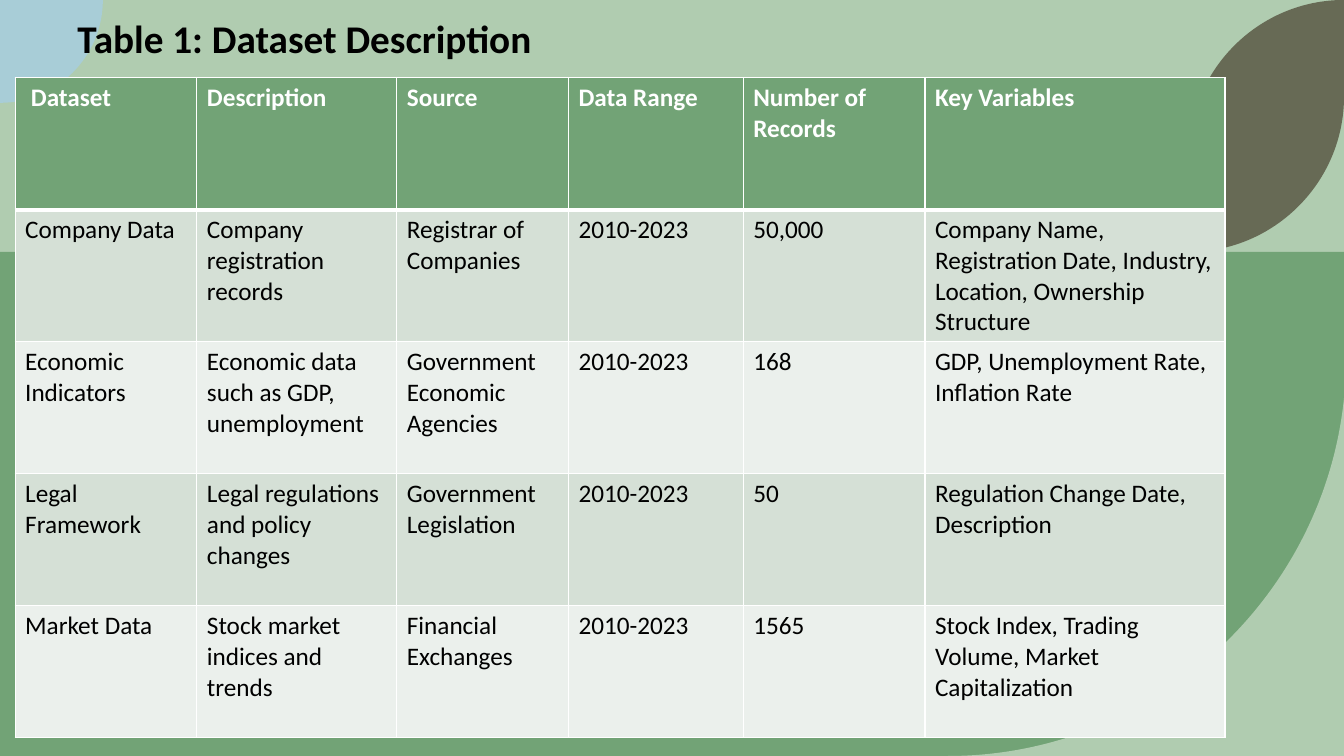
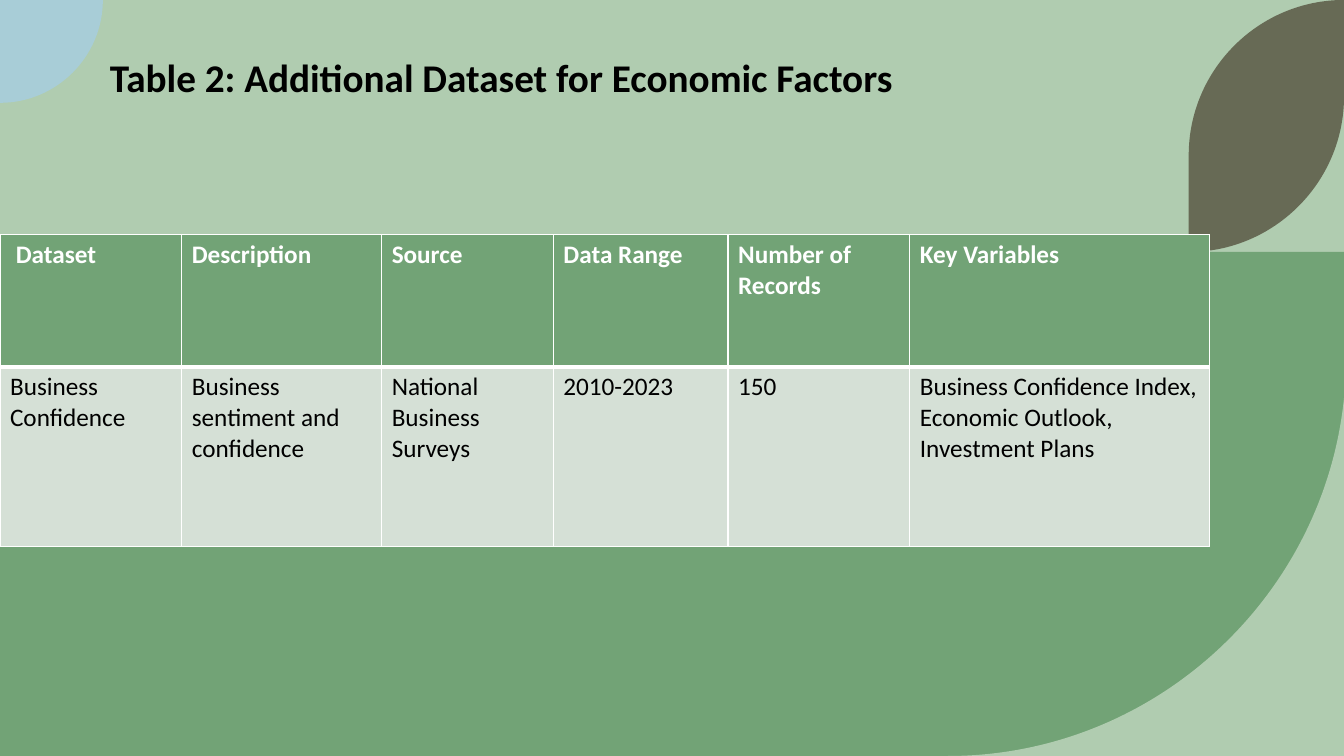
from dataclasses import dataclass

from lxml.etree import Element, SubElement
from pptx import Presentation
from pptx.dml.color import RGBColor
from pptx.enum.shapes import MSO_SHAPE as Shape
from pptx.enum.text import PP_ALIGN as Align
from pptx.oxml.ns import qn
from pptx.util import Inches, Pt

WIDTH, HEIGHT = 13.33, 7.5
EDGE = 13.35
HORIZON = HEIGHT / 3
ROUND = 0.55


@dataclass(frozen=True)
class Theme:
    font: str = "Calibri"
    sage: str = "B0CCB0"
    green: str = "72A376"
    blue: str = "A8CDD7"
    brown: str = "676A55"
    white: str = "FFFFFF"
    black: str = "000000"
    bands: tuple = ("D5E0D6", "EBF0EC")
    title_size: int = 28
    table_size: int = 18
    thin: int = 1
    thick: int = 3


THEME = Theme()
TABLE_WIDTH = 12
COLUMN_SHARES = (1.8, 1.98, 1.7, 1.73, 1.8, 2.97)
HEADINGS = (" Dataset", "Description", "Source", "Data Range",
            "Number of Records", "Key Variables")
PERIOD = "2010-2023"
DATASETS = (
    ("Company Data", "Company registration records", "Registrar of Companies",
     PERIOD, "50,000",
     "Company Name, Registration Date, Industry, Location, Ownership Structure"),
    ("Economic Indicators", "Economic data such as GDP, unemployment",
     "Government Economic Agencies", PERIOD, "168",
     "GDP, Unemployment Rate, Inflation Rate"),
    ("Legal Framework", "Legal regulations and policy changes",
     "Government Legislation", PERIOD, "50",
     "Regulation Change Date, Description"),
    ("Market Data", "Stock market indices and trends", "Financial Exchanges",
     PERIOD, "1565", "Stock Index, Trading Volume, Market Capitalization"),
)
ECONOMIC_FACTORS = (
    ("Business Confidence", "Business sentiment and confidence",
     "National Business Surveys", PERIOD, "150",
     "Business Confidence Index, Economic Outlook, Investment Plans"),
)


def paint(shape, color):
    shape.fill.solid()
    shape.fill.fore_color.rgb = RGBColor.from_string(color)
    shape.line.fill.background()
    shape.shadow.inherit = False


def add_span(para, text, size, color, bold=False):
    span = para.add_run()
    span.text = text
    span.font.name = THEME.font
    span.font.size = Pt(size)
    span.font.bold = bold
    span.font.color.rgb = RGBColor.from_string(color)


def add_title(page, box, text, align, wrap):
    frame = page.shapes.add_textbox(*map(Inches, box)).text_frame
    frame.word_wrap = wrap
    para = frame.paragraphs[0]
    para.alignment = align
    add_span(para, text, THEME.title_size, THEME.black, True)


def bend(shape, line, start, end, corner):
    """Turn a straight segment into a quarter circle that bulges to the corner."""
    line.tag = qn("a:cubicBezTo")
    for index, point in enumerate((start, end)):
        x, y = (Inches(a + ROUND * (c - a)) for a, c in zip(point, corner))
        line.insert(index, Element(qn("a:pt"), x=str(x - shape.left),
                                   y=str(y - shape.top)))


def add_outline(page, color, start, *segments):
    """Draw segments given as (end, corner); a corner of None means straight."""
    ends = [end for end, _ in segments]
    builder = page.shapes.build_freeform(*map(Inches, start))
    builder.add_line_segments([tuple(map(Inches, end)) for end in ends], close=True)
    shape = builder.convert_to_shape()
    lines = list(shape._element.iter(qn("a:lnTo")))
    for line, origin, (end, corner) in zip(lines, [start, *ends], segments):
        if corner:
            bend(shape, line, origin, end, corner)
    paint(shape, color)


def add_backdrop(page):
    page.background.fill.solid()
    page.background.fill.fore_color.rgb = RGBColor.from_string(THEME.sage)
    field = page.shapes.add_shape(
        Shape.RECTANGLE, 0, Inches(HORIZON), Inches(EDGE), Inches(HEIGHT - HORIZON))
    paint(field, THEME.green)
    sweep, disc, leaf = 3.95, 1.02, 1.54
    stem = WIDTH - leaf
    add_outline(page, THEME.sage, (EDGE, HEIGHT - sweep),
                ((EDGE - sweep, HEIGHT), (EDGE, HEIGHT)),
                ((EDGE, HEIGHT), None))
    add_outline(page, THEME.blue, (0, 0),
                ((disc, 0), None),
                ((0, disc), (disc, disc)))
    add_outline(page, THEME.brown, (stem, HORIZON),
                ((stem, leaf), None),
                ((WIDTH, 0), (stem, 0)),
                ((WIDTH, HORIZON - leaf), None),
                ((stem, HORIZON), (WIDTH, HORIZON)))


def add_border(cell, side, points):
    line = SubElement(cell._tc.get_or_add_tcPr(), qn(f"a:ln{side}"), w=str(Pt(points)))
    fill = SubElement(line, qn("a:solidFill"))
    SubElement(fill, qn("a:srgbClr"), val=THEME.white)


def style_cell(cell, text, row):
    heading = row == 0
    top = THEME.thick if row == 1 else THEME.thin
    bottom = THEME.thick if heading else THEME.thin
    for side, points in zip("LRTB", (THEME.thin, THEME.thin, top, bottom)):
        add_border(cell, side, points)
    cell.fill.solid()
    color = THEME.green if heading else THEME.bands[(row - 1) % 2]
    cell.fill.fore_color.rgb = RGBColor.from_string(color)
    add_span(cell.text_frame.paragraphs[0], text, THEME.table_size,
             THEME.white if heading else THEME.black, heading)


def add_dataset_table(page, left, top, records, heights):
    lines = (HEADINGS, *records)
    table = page.shapes.add_table(
        len(lines), len(HEADINGS), Inches(left), Inches(top),
        Inches(TABLE_WIDTH), Inches(sum(heights))).table
    for column, share in zip(table.columns, COLUMN_SHARES):
        column.width = Inches(TABLE_WIDTH * share / sum(COLUMN_SHARES))
    for index, (line, height) in enumerate(zip(lines, heights)):
        table.rows[index].height = Inches(height)
        for cell, text in zip(table.rows[index].cells, line):
            style_cell(cell, text, index)


def add_table_page(deck, title, title_box, align, wrap, corner, records, heights):
    page = deck.slides.add_slide(deck.slide_layouts[6])
    add_backdrop(page)
    add_title(page, title_box, title, align, wrap)
    add_dataset_table(page, *corner, records, heights)


def main():
    deck = Presentation()
    deck.slide_width, deck.slide_height = Inches(WIDTH), Inches(HEIGHT)
    add_table_page(deck, "Table 1: Dataset Description",
                   (0.67, 0.09, 5.46, 0.57), Align.LEFT, False,
                   (0.15, 0.77), DATASETS, (1.31,) * 5)
    add_table_page(deck, "Table 2: Additional Dataset for Economic Factors",
                   (0.16, 0.48, 9.62, 1.04), Align.CENTER, True,
                   (0, 2.33), ECONOMIC_FACTORS, (1.31, 1.78))
    deck.save("out.pptx")


if __name__ == "__main__":
    main()
